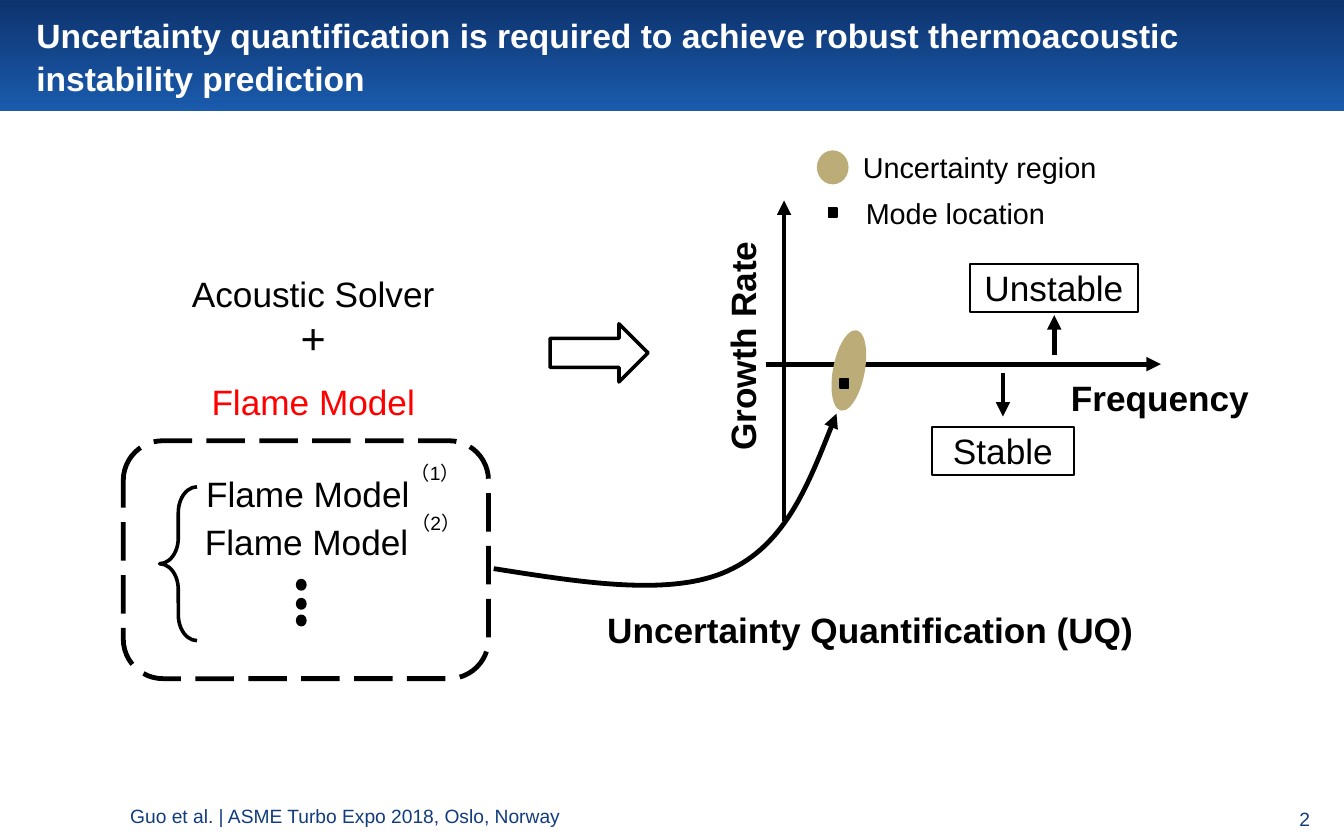
from lxml import etree
from pptx import Presentation
from pptx.dml.color import RGBColor
from pptx.enum.dml import MSO_LINE
from pptx.enum.shapes import MSO_CONNECTOR, MSO_SHAPE
from pptx.enum.text import MSO_ANCHOR, MSO_AUTO_SIZE, PP_ALIGN
from pptx.oxml.ns import qn
from pptx.util import Pt

PX = 9144  # 100 px to the inch
FONT = "Arial"
BLACK = RGBColor(0x00, 0x00, 0x00)
WHITE = RGBColor(0xFF, 0xFF, 0xFF)
RED = RGBColor(0xFF, 0x00, 0x00)
NAVY = RGBColor(0x11, 0x3C, 0x7D)
DARK = RGBColor(0x0E, 0x33, 0x6E)
BLUE = RGBColor(0x1A, 0x5B, 0xAD)
SAND = RGBColor(0xBC, 0xAC, 0x77)

LEFT, MID = PP_ALIGN.LEFT, PP_ALIGN.CENTER
STRAIGHT = MSO_CONNECTOR.STRAIGHT
RECT, OVAL = MSO_SHAPE.RECTANGLE, MSO_SHAPE.OVAL
ROUND, BRACE = MSO_SHAPE.ROUNDED_RECTANGLE, MSO_SHAPE.LEFT_BRACE
ARROW = MSO_SHAPE.RIGHT_ARROW
DASH = MSO_LINE.LONG_DASH


def emu(*vals):
    return [round(v * PX) for v in vals]


def write(frame, text, size, color=BLACK, bold=False, align=LEFT):
    para = frame.paragraphs[0]
    para.alignment = align
    run = para.add_run()
    run.text = text
    font = run.font
    font.name, font.size, font.bold = FONT, Pt(size), bold
    font.color.rgb = color
    return para


def label(slide, box, text, size=44, color=BLACK, bold=False, align=LEFT, turn=0):
    item = slide.shapes.add_textbox(*emu(*box))
    item.rotation = turn
    item.text_frame.word_wrap = True
    write(item.text_frame, text, size, color, bold, align)
    return item


def shape(slide, kind, box, fill=None, width=0):
    item = slide.shapes.add_shape(kind, *emu(*box))
    item.shadow.inherit = False
    if fill is None:
        item.fill.background()
    else:
        item.fill.solid()
        item.fill.fore_color.rgb = fill
    if width:
        item.line.color.rgb = BLACK
        item.line.width = Pt(width)
    else:
        item.line.fill.background()
    return item


def tip(item):
    """Black 6 pt line with a triangle at its end."""
    item.line.color.rgb = BLACK
    item.line.width = Pt(6)
    end = etree.SubElement(item.line._get_or_add_ln(), qn("a:tailEnd"))
    end.set("type", "triangle")


def arrow(slide, x1, y1, x2, y2):
    item = slide.shapes.add_connector(STRAIGHT, *emu(x1, y1, x2, y2))
    tip(item)
    etree.SubElement(item._element.spPr, qn("a:effectLst"))


def curve(slide, points, height):
    """Arrow along cubic curves: a start, then three points for each curve."""
    build = slide.shapes.build_freeform(*points[0], scale=float(PX))
    build.add_line_segments(points[1:], close=False)
    item = build.convert_to_shape()
    item.shadow.inherit = False
    item.fill.background()
    tip(item)
    track = item._element.spPr.find(".//" + qn("a:path"))
    lines = track.findall(qn("a:lnTo"))
    for i in range(0, len(lines), 3):
        bend = etree.SubElement(track, qn("a:cubicBezTo"))
        for line in lines[i:i + 3]:
            bend.append(line[0])
            track.remove(line)
    # The frame hugs the curve, not its control points
    track.set("h", str(height))
    item.height = height * PX


def header(slide, box):
    title = slide.shapes.title
    title.left, title.top, title.width, title.height = emu(*box)
    title.fill.gradient()
    title.fill.gradient_angle = 270
    for stop, color, place in zip(title.fill.gradient_stops, (DARK, BLUE), (0, 1)):
        stop.color.rgb, stop.position = color, place
    frame = title.text_frame
    frame.word_wrap = True
    frame.auto_size = MSO_AUTO_SIZE.NONE
    frame.vertical_anchor = MSO_ANCHOR.MIDDLE
    frame.margin_left = frame.margin_top = frame.margin_bottom = 0
    frame.margin_right = 196 * PX
    para = write(frame, "Uncertainty quantification is required to achieve robust "
                 "thermoacoustic instability prediction", 42, WHITE, True)
    para.line_spacing = 1.05
    props = para._p.get_or_add_pPr()
    props.set("marL", str(63 * PX))
    props.set("indent", "0")


def models(slide, box):
    x, y, w, h = box
    # Solver plus flame model
    for top, text, size, color in ((0, "Acoustic Solver", 44, BLACK),
                                   (69, "+", 54, BLACK),
                                   (188, "Flame Model", 44, RED)):
        label(slide, (x + 67, y + top, 526, 84), text, size, color, align=MID)

    # Dashed frame with the list of models
    frame = shape(slide, ROUND, (x, y + 298, w, h - 298), width=6)
    frame.line.dash_style = DASH
    brace = shape(slide, BRACE, (x + 63, y + 378, 65, 267), width=4.5)
    brace.adjustments[0] = 0.69
    for i, mark in enumerate(("（1）", "（2）")):
        label(slide, (x + 66 - 2 * i, y + 348 + 84 * i, 526, 84), "Flame Model ", align=MID)
        label(slide, (x + 489 + i, y + 328 + 87 * i, 123, 50), mark, 24)
    for top in (539, 572, 601):
        shape(slide, OVAL, (x + 301, y + top, 16, 18), BLACK, 2)


def plot(slide, box):
    x, y, w, h = box
    # Axes
    zero = y + 377
    arrow(slide, x + 32, y + h, x + 32, y + 93)
    arrow(slide, x, zero, x + w, zero)
    label(slide, (x + 520, y + 393, 344, 84), "Frequency", bold=True)
    label(slide, (x - 237, y + 299, 393, 84), "Growth Rate", bold=True, turn=270)

    # Legend and uncertain mode
    shape(slide, OVAL, (x + 89, y + 6, 55, 59), SAND)
    label(slide, (x + 144, y, 455, 71), "Uncertainty region", 36, align=MID)
    label(slide, (x + 164, y + 79, 372, 71), "Mode location", 36)
    region = shape(slide, OVAL, (x + 117, y + 317, 55, 142), SAND)
    region.rotation = 10.9
    for left, top in ((109, 106), (129, 403)):
        shape(slide, RECT, (x + left, y + top, 15, 16), BLACK, 2)

    # Both sides of the zero line
    arrow(slide, x + 412, zero + 16, x + 412, zero + 91)
    arrow(slide, x + 501, zero - 16, x + 501, zero - 85)
    for left, top, wide, text in ((289, 486, 246, "Stable"), (355, 203, 291, "Unstable")):
        side = shape(slide, RECT, (x + left, y + top, wide, 84), width=3)
        side.text_frame.vertical_anchor = MSO_ANCHOR.TOP
        write(side.text_frame, text, 44, align=MID)


def link(slide, box):
    x, y, w, h = box
    shape(slide, ARROW, (x + 98, y - 156, 170, 101), width=4.5)
    curve(slide, [(x, y + 269), (x + 153, y + 293), (x + 307, y + 318),
                  (x + 406, y + 273), (x + 505, y + 228), (x + 550, y + 114),
                  (x + w, y)], h)
    label(slide, (x + 187, y + 333, 970, 84), "Uncertainty Quantification (UQ)", bold=True)


def footer(slide, box):
    x, y, w, h = box
    cite = label(slide, (x, y, 1771, h),
                 "Guo et al. | ASME Turbo Expo 2018, Oslo, Norway", 24, NAVY)
    frame = cite.text_frame
    frame.margin_left = frame.margin_top = frame.margin_right = frame.margin_bottom = 0
    page = label(slide, (x + w - 44, y, 44, 40), "2", 24, NAVY, align=MID)
    page.text_frame.word_wrap = False


def main():
    deck = Presentation()
    deck.slide_width, deck.slide_height = emu(2333, 1458)
    slide = deck.slides.add_slide(deck.slide_layouts[5])
    header(slide, (0, 0, 2336, 193))
    models(slide, (214, 467, 634, 711))
    plot(slide, (1329, 255, 686, 650))
    link(slide, (857, 718, 595, 298))
    footer(slide, (226, 1396, 2061, 42))
    deck.save("out.pptx")


if __name__ == "__main__":
    main()
